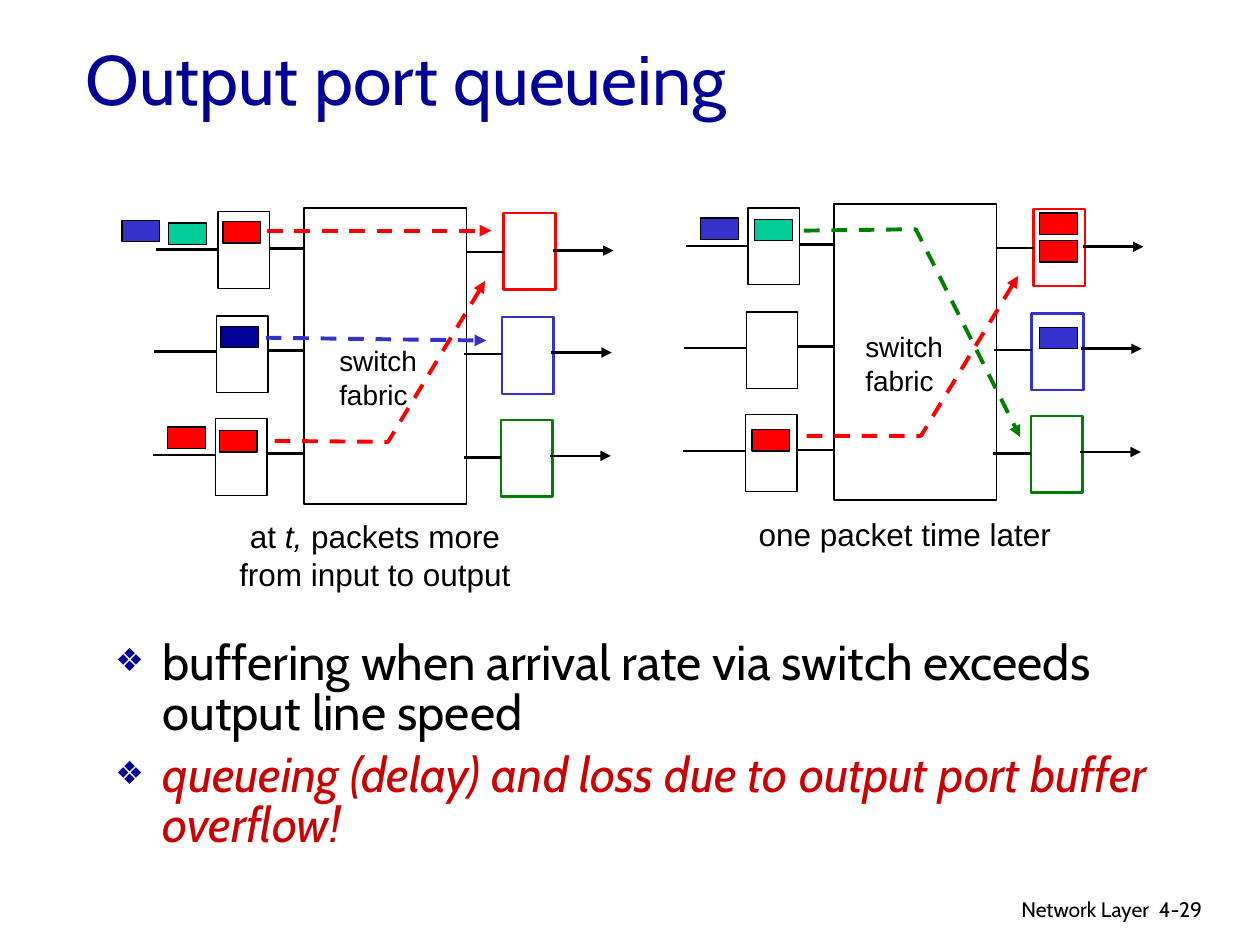
from lxml import etree
from pptx import Presentation
from pptx.dml.color import RGBColor
from pptx.enum.dml import MSO_LINE
from pptx.enum.shapes import MSO_CONNECTOR, MSO_SHAPE
from pptx.enum.text import MSO_ANCHOR, MSO_AUTO_SIZE, PP_ALIGN
from pptx.oxml.ns import qn
from pptx.util import Pt

hex_color = RGBColor.from_string
BLACK, WHITE, RED, BLUE = "000000", "FFFFFF", "FF0000", "3333CC"
NAVY, GREEN, TEAL, CRIMSON = "000099", "008000", "00CC99", "CC0000"
LEFT, CENTER, RIGHT = PP_ALIGN.LEFT, PP_ALIGN.CENTER, PP_ALIGN.RIGHT

deck = Presentation()
deck.slide_width, deck.slide_height = Pt(720), Pt(540)
slide = deck.slides.add_slide(deck.slide_layouts[1])
shapes = slide.shapes


def add_box(left, top, width, height, fill, line=BLACK, weight=0.75):
    box = shapes.add_shape(MSO_SHAPE.RECTANGLE, Pt(left), Pt(top), Pt(width), Pt(height))
    box.shadow.inherit = False
    box.fill.solid()
    box.fill.fore_color.rgb = hex_color(fill)
    box.line.color.rgb = hex_color(line)
    box.line.width = Pt(weight)


def add_route(points, color=BLACK, weight=1.5, dashed=False, arrow=False):
    corners = [(Pt(x), Pt(y)) for x, y in points]
    if len(corners) == 2:
        route = shapes.add_connector(MSO_CONNECTOR.STRAIGHT, *corners[0], *corners[1])
    else:
        builder = shapes.build_freeform(*corners[0], scale=1.0)
        builder.add_line_segments(corners[1:], close=False)
        route = builder.convert_to_shape()
        route.fill.background()
    route.line.color.rgb = hex_color(color)
    route.line.width = Pt(weight)
    if dashed:
        route.line.dash_style = MSO_LINE.DASH
    properties = route._element.spPr
    if arrow:
        etree.SubElement(properties.find(qn("a:ln")), qn("a:tailEnd"), type="triangle")
    etree.SubElement(properties, qn("a:effectLst"))


title = shapes.title
title.left, title.top, title.width, title.height = Pt(41.8), Pt(15.5), Pt(612), Pt(57.6)
title.text_frame.text = "Output port queueing"
title.text_frame.auto_size = MSO_AUTO_SIZE.NONE
title.text_frame.vertical_anchor = MSO_ANCHOR.MIDDLE
heading = title.text_frame.paragraphs[0]
heading.alignment = LEFT
heading.font.size, heading.font.name = Pt(40), "Cabin"
heading.font.color.rgb = hex_color(NAVY)

body = slide.placeholders[1]
body.left, body.top, body.width, body.height = Pt(58.7), Pt(362.2), Pt(612), Pt(93.6)
body.text_frame.auto_size = MSO_AUTO_SIZE.NONE
body.text_frame.text = (
    "buffering when arrival rate via switch exceeds output line speed\n"
    "queueing (delay) and loss due to output port buffer overflow!"
)
for point, color, italic, space in zip(
    body.text_frame.paragraphs, (BLACK, CRIMSON), (False, True), (0, 7)
):
    point.line_spacing, point.space_before = 0.85, Pt(space)
    layout = point._p.get_or_add_pPr()
    layout.set("marL", str(Pt(27)))
    layout.set("indent", str(Pt(-27)))
    bullet_color = etree.SubElement(layout, qn("a:buClr"))
    etree.SubElement(bullet_color, qn("a:srgbClr"), val=NAVY)
    etree.SubElement(layout, qn("a:buSzPct"), val="65000")
    etree.SubElement(layout, qn("a:buChar"), char="❖")
    for run in point.runs:
        run.font.size, run.font.name, run.font.italic = Pt(28), "Cabin", italic
        run.font.color.rgb = hex_color(color)

port_rows = [(0, 121, 142, RED), (-1, 180.5, 200.3, BLUE), (-1.5, 239.2, 259.3, GREEN)]
for dx, dy in [(0, 0), (302.8, -2.2)]:
    add_box(173.7 + dx, 118.8 + dy, 92.9, 169.2, WHITE)
    for shift, port_top, wire_y, port_color in port_rows:
        x, y = dx + shift, wire_y + dy
        add_box(124.6 + x, port_top + dy, 29.5, 43.9, WHITE)
        add_box(287.8 + x, port_top + 0.7 + dy, 29.5, 43.9, WHITE, port_color, 1.5)
        add_route([(89.2 + x, y + 0.7), (124.6 + x, y + 0.7)])
        add_route([(153.5 + x, y), (173.7 + dx, y)])
        add_route([(266.4 + x, y + 2), (287.8 + x, y + 2)])
        add_route([(316 + x, y + 1.2), (350.6 + x, y + 1.2)], arrow=True)

packets = [
    (127.4, 126.7, RED), (126, 186.5, NAVY), (125.3, 246.2, RED),
    (96.5, 127.4, TEAL), (95.8, 244.1, RED), (69.8, 126, BLUE),
    (594, 121.7, RED), (594, 187.2, BLUE), (594, 137.5, RED),
    (431.3, 125.3, TEAL), (429.8, 245.5, RED), (400.3, 124.6, BLUE),
]
for left, top, color in packets:
    add_box(left, top, 21.6, 12.2, color)

transfers = [
    (RED, [(152.6, 131.8), (280.8, 131.8)]),
    (RED, [(157, 252), (221.8, 252.5), (277.2, 160.6)]),
    (RED, [(461, 249.1), (526.3, 249.1), (581.8, 157.7)]),
    (GREEN, [(459.4, 131.8), (523.4, 131), (583, 249.8)]),
    (BLUE, [(151.9, 193), (277.9, 194.6)]),
]
for color, points in transfers:
    add_route(points, color, 2.25, dashed=True, arrow=True)

fabric_label = [["switch"], ["fabric"]]
labels = [
    (117.4, 292, 193.7, 50.4, 18, "Arial", CENTER,
     [["at ", "t,", " packets more"], ["from input to output"]]),
    (420.2, 290.9, 193.7, 28.8, 18, "Arial", CENTER, [["one packet time later"]]),
    (186.8, 193, 66, 46.1, 16, "Arial", LEFT, fabric_label),
    (487.4, 185, 66, 46.1, 16, "Arial", LEFT, fabric_label),
    (435.6, 509, 228.2, 22.3, 12, "Cabin", RIGHT, [["Network Layer"]]),
    (655.2, 509, 53.3, 21.6, 12, "Cabin", LEFT, [["4-29"]]),
]
for left, top, width, height, size, font, align, lines in labels:
    frame = shapes.add_textbox(Pt(left), Pt(top), Pt(width), Pt(height)).text_frame
    frame.word_wrap = True
    for number, pieces in enumerate(lines):
        line = frame.add_paragraph() if number else frame.paragraphs[0]
        line.alignment = align
        for piece in pieces:
            run = line.add_run()
            run.text = piece
            run.font.size, run.font.name = Pt(size), font
            run.font.italic = piece == "t,"
            run.font.color.rgb = hex_color(BLACK)

deck.save("out.pptx")
